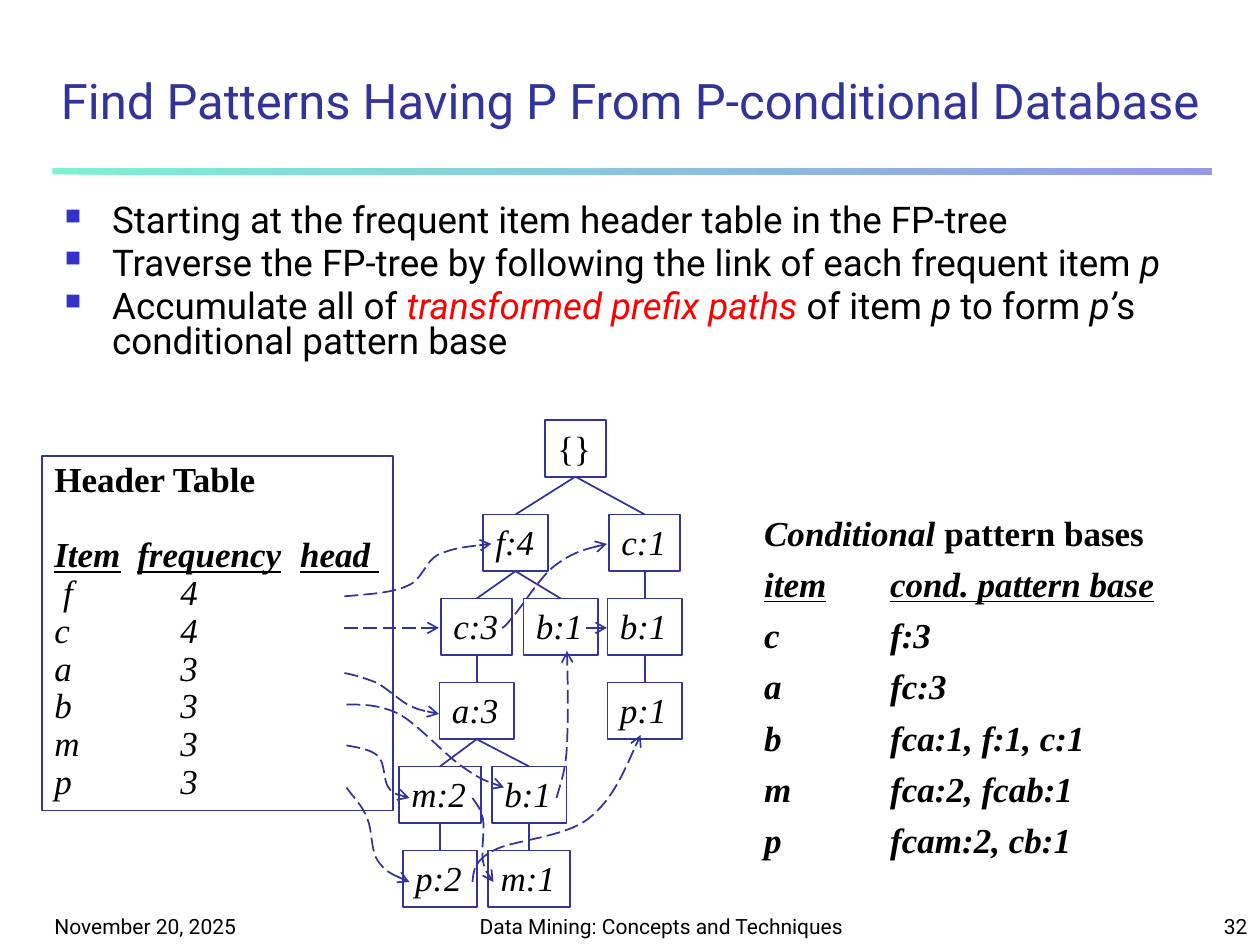
"""Build the slide on finding patterns from a p-conditional database."""
import pptx
import pptx.dml.color
import pptx.enum.dml
import pptx.enum.shapes
import pptx.enum.text
import pptx.oxml
import pptx.oxml.ns
import pptx.util
from lxml import etree

THEME = dict(
    sans="Roboto", serif="Times New Roman",
    ink="000000", navy="333399", accent="FF0000", bullet="3333CC",
    rule=("00E4A8", "3333CC"), rule_alpha=50000,
    title=28, body=21, tree=20, footer=12, line=1,
)
COLUMNS, ROWS = 120, 90
SLIDE_WIDTH, SLIDE_HEIGHT = pptx.util.Inches(10), pptx.util.Inches(7.5)

TITLE = "Find Patterns Having P From P-conditional Database"
IT = dict(italic=True)
STEPS = [
    "Starting at the frequent item header table in the FP-tree",
    ["Traverse the FP-tree by following the link of each frequent item ", ("p", IT)],
    ["Accumulate all of ",
     ("transformed prefix paths", dict(italic=True, color=THEME["accent"])),
     " of item ", ("p ", IT), "to form ", ("p’", IT), "s conditional pattern base"],
]
FOOTERS = [
    ("November 20, 2025", (4, 85, 25, 5), "LEFT"),
    ("Data Mining: Concepts and Techniques", (44, 85, 38, 5), "CENTER"),
    ("32", (95, 85, 25, 5), "RIGHT"),
]
HEADER_TITLE = "Header Table"
HEADER_FIELDS = "Item\tfrequency\thead "
HEADER_STOPS = (7.9, 23.4)
VALUE_STOPS = (12,)
FREQUENCIES = [(" f", 4), ("c", 4), ("a", 3), ("b", 3), ("m", 3), ("p", 3)]
BASES = [("c", "f:3"), ("a", "fc:3"), ("b", "fca:1, f:1, c:1"),
         ("m", "fca:2, fcab:1"), ("p", "fcam:2, cb:1")]

NODE_WIDTHS = {"{": 5.8, "f": 6.2, "c": 6.8, "a": 7.1, "b": 7.1, "p": 7.1, "m": 7.8}
NODE_HEIGHT = 5.4
LEVEL_TOPS = [40] + [49 + 8 * level for level in range(5)]
TREE = {
    "root": ("{}", 54.8, 0, None),
    "f": ("f:4", 49.1, 1, "root"),
    "c right": ("c:1", 61.4, 1, "root"),
    "c": ("c:3", 45.4, 2, "f"),
    "b middle": ("b:1", 53.4, 2, "f"),
    "b right": ("b:1", 61.4, 2, "c right"),
    "a": ("a:3", 45.4, 3, "c"),
    "p right": ("p:1", 61.4, 3, "b right"),
    "m": ("m:2", 41.9, 4, "a"),
    "b low": ("b:1", 50.4, 4, "a"),
    "p": ("p:2", 41.9, 5, "m"),
    "m low": ("m:1", 50.4, 5, "b low"),
}
STRAIGHT_LINKS = [((32.8, 59.8), (41.8, 59.8)), ((55.8, 59.8), (57.8, 59.8))]
CURVED_LINKS = [
    [(32.8, 56.8), (35, 56.6), (37.3, 56.5), (38.8, 55.8), (40.3, 55.2),
     (40.4, 53.5), (41.8, 52.8), (43.2, 52.2), (45, 52), (46.8, 51.8)],
    [(47.8, 59.8), (47.9, 59.8), (48, 59.8), (48.8, 58.8), (49.7, 57.8),
     (51.4, 55), (52.8, 53.9), (54.4, 52.7), (56, 52.2), (57.8, 51.8)],
    [(32.8, 64.1), (33.8, 64.3), (34.8, 64.6), (35.8, 65), (36.8, 65.5),
     (37.8, 66.5), (38.8, 67.1), (39.8, 67.6), (40.8, 67.8), (41.8, 68)],
    [(33, 67.1), (34.6, 67.1), (36.1, 67.1), (38, 68), (39.8, 69),
     (42.4, 71.9), (44, 73), (45.7, 74.2), (46.8, 74.6), (48, 75)],
    [(53, 76), (53.4, 74.6), (53.9, 73.3), (54, 71), (54.1, 68.6), (54.1, 65.4), (54, 62)],
    [(33, 71), (34.2, 71.2), (35.3, 71.4), (36, 72), (36.7, 72.7),
     (36.5, 74.3), (37, 75), (37.5, 75.7), (38.3, 75.8), (39, 76)],
    [(45, 76), (45.4, 76.6), (45.8, 77), (46, 78), (46.2, 79),
     (45.8, 81), (46, 82), (46.2, 83), (46.6, 83.5), (47, 84)],
    [(33, 75), (33.7, 76), (34.6, 76.8), (35, 78), (35.5, 79.2),
     (35.3, 81), (36, 82), (36.7, 83), (37.8, 83.5), (39, 84)],
    [(45, 84), (45.1, 83), (45.1, 82), (47, 81), (48.8, 80),
     (53.6, 79.8), (56, 78), (58.3, 76.2), (59.6, 73.1), (61, 70)],
]


def rgb(color):
    return pptx.dml.color.RGBColor.from_string(color)


def place(*lengths):
    """Turn alternating column and row counts into slide lengths."""
    units = (SLIDE_WIDTH / COLUMNS, SLIDE_HEIGHT / ROWS)
    return [round(length * units[i % 2]) for i, length in enumerate(lengths)]


def child(parent, tag, **attributes):
    return etree.SubElement(parent, pptx.oxml.ns.qn(tag), attributes)


def write(frame, text, first=False, size=THEME["tree"], font=THEME["serif"],
          color=THEME["ink"], bold=False, italic=False, underline=None, align="LEFT",
          spacing=1.0, before=0, bullet=False, stops=()):
    """Add one paragraph of text, or of (text, overrides) runs, to a frame."""
    paragraph = frame.paragraphs[0] if first else frame.add_paragraph()
    properties = paragraph._p.get_or_add_pPr()
    if bullet:
        indent = place(4.5)[0]
        properties.set("marL", str(indent))
        properties.set("indent", str(-indent))
        child(child(properties, "a:buClr"), "a:srgbClr", val=THEME["bullet"])
        child(properties, "a:buSzPct", val="60000")
        child(properties, "a:buChar", char="■")
    if stops:
        tabs = child(properties, "a:tabLst")
        for stop in stops:
            child(tabs, "a:tab", pos=str(place(stop)[0]), algn="l")
    paragraph.alignment = getattr(pptx.enum.text.PP_ALIGN, align)
    paragraph.line_spacing = spacing
    paragraph.space_before = pptx.util.Pt(0 if first else before)
    for piece in [text] if isinstance(text, str) else text:
        words, changes = (piece, {}) if isinstance(piece, str) else piece
        look = {**dict(color=color, bold=bold, italic=italic, underline=underline), **changes}
        run = paragraph.add_run()
        run.text = words
        run.font.name, run.font.size = font, pptx.util.Pt(size)
        run.font.color.rgb = rgb(look["color"])
        run.font.bold, run.font.italic = look["bold"], look["italic"]
        run.font.underline = look["underline"]


def text_frame(slide, box, anchor="TOP", outlined=False, wrap=True):
    if outlined:
        shape = slide.shapes.add_shape(pptx.enum.shapes.MSO_SHAPE.RECTANGLE, *place(*box))
        shape.shadow.inherit = False
        shape.fill.background()
        style_line(shape)
    else:
        shape = slide.shapes.add_textbox(*place(*box))
    shape.text_frame.word_wrap = wrap
    shape.text_frame.vertical_anchor = getattr(pptx.enum.text.MSO_ANCHOR, anchor)
    return shape.text_frame


def style_line(shape, link=False):
    shape.line.color.rgb = rgb(THEME["navy"])
    shape.line.width = pptx.util.Pt(THEME["line"])
    if link:
        shape.line.dash_style = pptx.enum.dml.MSO_LINE.LONG_DASH
        child(shape.line._get_or_add_ln(), "a:tailEnd", type="arrow")


def straight(slide, start, end, link=False):
    line = slide.shapes.add_connector(
        pptx.enum.shapes.MSO_CONNECTOR.STRAIGHT, *place(*start, *end))
    style_line(line, link)
    child(line._element.spPr, "a:effectLst")


def curved(slide, points):
    start, *controls = [place(*point) for point in points]
    builder = slide.shapes.build_freeform(*start)
    builder.add_line_segments(controls, close=False)
    curve = builder.convert_to_shape()
    curve.shadow.inherit = False
    curve.fill.background()
    style_line(curve, link=True)
    segments = list(curve._element.iter(pptx.oxml.ns.qn("a:lnTo")))
    outline = segments[0].getparent()
    for i in range(0, len(segments), 3):
        bezier = child(outline, "a:cubicBezTo")
        for segment in segments[i:i + 3]:
            bezier.append(segment[0])
            outline.remove(segment)


def draw_rule(slide):
    rule = slide.shapes.add_shape(
        pptx.enum.shapes.MSO_SHAPE.RECTANGLE, *place(5, 16, 110.4, 0.6))
    rule.shadow.inherit = False
    rule.line.fill.background()
    rule.fill.gradient()
    rule.fill.gradient_angle = 0
    for stop, position, color in zip(rule.fill.gradient_stops, (0, 1), THEME["rule"]):
        stop.position, stop.color.rgb = position, rgb(color)
    for color in rule._element.spPr.iter(pptx.oxml.ns.qn("a:srgbClr")):
        child(color, "a:alpha", val=str(THEME["rule_alpha"]))


def draw_tree(slide):
    for label, center, level, parent in TREE.values():
        width, top = NODE_WIDTHS[label[0]], LEVEL_TOPS[level]
        node = text_frame(slide, (center - width / 2, top, width, NODE_HEIGHT),
                          outlined=True, wrap=False)
        write(node, label, first=True, italic=label != "{}")
        if parent:
            _, parent_center, parent_level, _ = TREE[parent]
            straight(slide, (parent_center, LEVEL_TOPS[parent_level] + NODE_HEIGHT), (center, top))


def main():
    deck = pptx.Presentation()
    deck.slide_width, deck.slide_height = SLIDE_WIDTH, SLIDE_HEIGHT
    slide = deck.slides.add_slide(deck.slide_layouts[6])
    draw_rule(slide)
    for text, box, align in FOOTERS:
        write(text_frame(slide, box, "BOTTOM"), text, first=True,
              size=THEME["footer"], font=THEME["sans"], align=align)
    write(text_frame(slide, (4, 4, 112, 9), "BOTTOM"), TITLE, first=True, size=THEME["title"],
          font=THEME["sans"], color=THEME["navy"], align="CENTER", spacing=0.9)
    steps = text_frame(slide, (5, 19, 110, 20))
    for i, step in enumerate(STEPS):
        write(steps, step, first=i == 0, size=THEME["body"], font=THEME["sans"],
              spacing=0.8, before=4.2, bullet=True)

    bases = text_frame(slide, (71.6, 48.1, 43.7, 36.5))
    write(bases, [("Conditional ", IT), "pattern bases"], first=True, bold=True)
    for i, row in enumerate([("item", "cond. pattern base")] + BASES):
        write(bases, "\t".join(row), bold=True, italic=True, underline=i == 0,
              spacing=0.8, before=10, stops=VALUE_STOPS)

    draw_tree(slide)
    header = text_frame(slide, (4, 43.4, 33.4, 33.8), outlined=True)
    write(header, HEADER_TITLE, first=True, bold=True, spacing=0.9)
    write(header, HEADER_FIELDS, bold=True, italic=True, underline=True,
          spacing=0.9, before=21.6, stops=HEADER_STOPS)
    for item, frequency in FREQUENCIES:
        write(header, f"{item}\t{frequency}", italic=True, spacing=0.9, stops=VALUE_STOPS)
    for start, end in STRAIGHT_LINKS:
        straight(slide, start, end, link=True)
    for points in CURVED_LINKS:
        curved(slide, points)
    deck.save("out.pptx")


if __name__ == "__main__":
    main()
